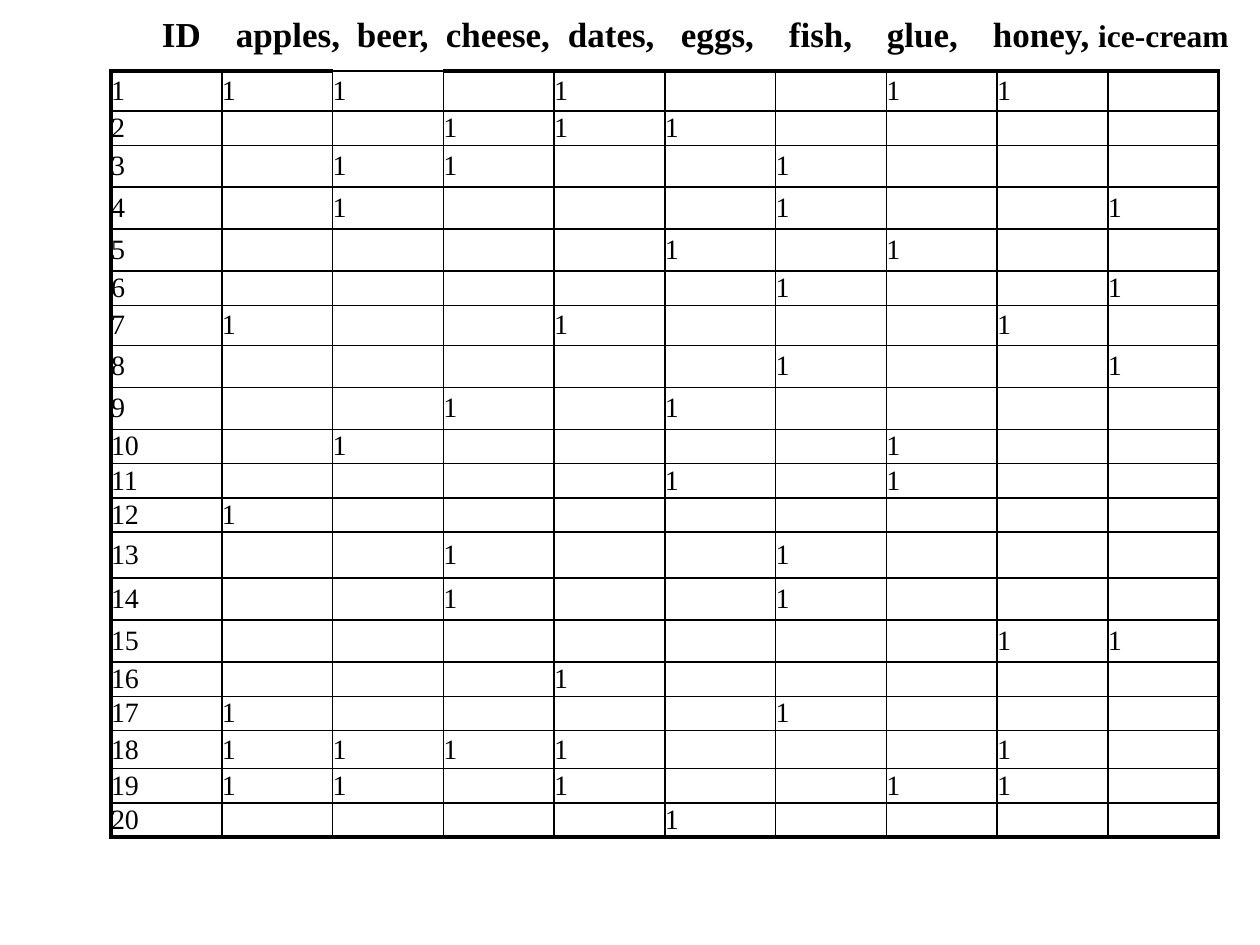
from lxml.etree import SubElement
from pptx import Presentation
from pptx.dml.color import RGBColor
from pptx.enum.text import MSO_ANCHOR
from pptx.oxml.ns import qn
from pptx.util import Emu, Pt

SCALE = 914400 / 126
COLORS = {"ink": "000000"}
FONT = "Times New Roman"
THIN, THICK = 1, 2.25

# Column headings with the left edge of each one
HEADINGS = [("ID", 162), ("apples,", 236), ("beer,", 357), ("cheese,", 446),
            ("dates,", 568), ("eggs,", 681), ("fish,", 789), ("glue,", 887),
            ("honey, ", 993)]

# Each basket lists its items by initial, from apples to ice-cream
ITEMS = "abcdefghi"
BASKETS = ["abdgh", "cde", "bcf", "bfi", "eg", "fi", "adh", "fi", "ce", "bg",
           "eg", "a", "cf", "cf", "hi", "d", "af", "abcdh", "abdgh", "e"]
ROW_HEIGHTS = [40, 34, 42, 42, 42, 34, 40, 42, 42, 33,
               34, 34, 46, 42, 42, 33, 34, 38, 33, 33]


def px(length):
    return Emu(round(length * SCALE))


def add_span(para, text, size=16, bold=False, color="ink"):
    span = para.add_run()
    span.text = text
    span.font.name = FONT
    span.font.size = Pt(size)
    span.font.bold = bold
    span.font.color.rgb = RGBColor.from_string(COLORS[color])


class SlideWriter:
    """Holds the shared style and the current page."""

    def __init__(self, deck):
        self.page = deck.slides.add_slide(deck.slide_layouts[6])

    def heading_row(self, left, top, width, height, inset=12):
        box = self.page.shapes.add_textbox(px(left), px(top), px(width), px(height))
        frame = box.text_frame
        frame.word_wrap = True
        frame.margin_left, frame.margin_right = px(inset), 0
        para = frame.paragraphs[0]
        # Tab stops place every heading over its column
        properties = para._p.get_or_add_pPr()
        stops = SubElement(properties, qn("a:tabLst"))
        for _, edge in HEADINGS[1:]:
            SubElement(stops, qn("a:tab"), pos=str(px(edge - left - inset)), algn="l")
        add_span(para, "\t".join(name for name, _ in HEADINGS), size=20, bold=True)
        add_span(para, "ice-cream", size=18, bold=True)

    def border(self, cell, side, width):
        line = SubElement(cell._tc.get_or_add_tcPr(), qn(f"a:ln{side}"), w=str(Pt(width)))
        fill = SubElement(line, qn("a:solidFill"))
        SubElement(fill, qn("a:srgbClr"), val=COLORS["ink"])

    def cell(self, cell, text, widths):
        for side, width in widths.items():
            self.border(cell, side, width)
        cell.fill.background()
        cell.vertical_anchor = MSO_ANCHOR.MIDDLE
        cell.margin_left = cell.margin_right = cell.margin_top = cell.margin_bottom = 0
        para = cell.text_frame.paragraphs[0]
        if text:
            add_span(para, text)
        else:
            # Keeps empty cells from stretching their row
            SubElement(para._p, qn("a:endParaRPr"), sz="1600")

    def basket_table(self, left, top, width):
        row_count, column_count = len(BASKETS), len(ITEMS) + 1
        table = self.page.shapes.add_table(
            row_count, column_count, px(left), px(top), px(width), px(sum(ROW_HEIGHTS))).table
        table.first_row = table.horz_banding = False
        for column in table.columns:
            column.width = px(width / column_count)
        for r, (basket, height) in enumerate(zip(BASKETS, ROW_HEIGHTS)):
            table.rows[r].height = px(height)
            texts = [str(r + 1)] + ["1" if item in basket else "" for item in ITEMS]
            for c, text in enumerate(texts):
                # Thick outer frame, left thin above the beer column
                outer = {"L": c == 0, "R": c == column_count - 1,
                         "T": r == 0 and c != 2, "B": r == row_count - 1}
                widths = {side: THICK if edge else THIN for side, edge in outer.items()}
                self.cell(table.cell(r, c), text, widths)


def main():
    deck = Presentation()
    deck.slide_width, deck.slide_height = px(1260), px(945)
    writer = SlideWriter(deck)
    writer.basket_table(111, 71, 1108)
    writer.heading_row(150, 6, 1098, 54)
    deck.save("out.pptx")


if __name__ == "__main__":
    main()
